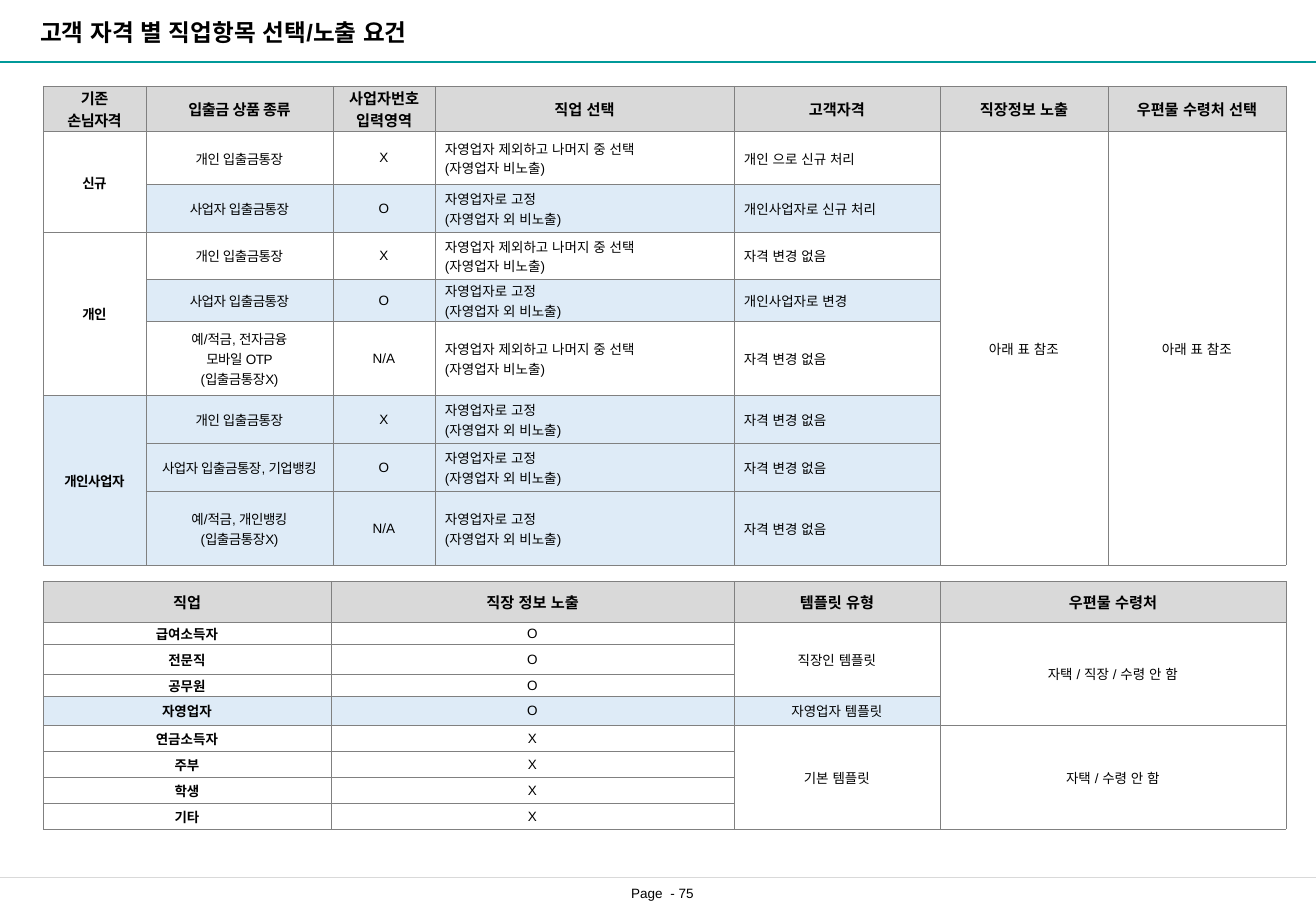
import pptx
import pptx.util
import pptx.dml.color
import pptx.enum.lang
import pptx.enum.shapes
import pptx.enum.text
import pptx.oxml
import pptx.oxml.ns

PX = 914400 / 121.5
ALIGN = pptx.enum.text.PP_ALIGN
MIDDLE = pptx.enum.text.MSO_ANCHOR.MIDDLE
GREY, BLUE, WHITE, BLACK, BORDER = "D9D9D9", "DEEBF7", "FFFFFF", "000000", "808080"


def color(target, value):
    target.rgb = pptx.dml.color.RGBColor.from_string(value)


def write(paragraph, text, size, bold=False, align=ALIGN.CENTER):
    paragraph.alignment = align
    run = paragraph.add_run()
    run.text = text
    formats = {"name": "Arial", "size": pptx.util.Pt(size), "bold": bold,
               "language_id": pptx.enum.lang.MSO_LANGUAGE_ID.KOREAN}
    for key, value in formats.items():
        setattr(run.font, key, value)
    color(run.font.color, BLACK)
    return run


deck = pptx.Presentation()
deck.slide_width = round(1316 * PX)
deck.slide_height = round(911 * PX)
slide = deck.slides.add_slide(deck.slide_layouts[5])

# Title and page number
title = slide.shapes.title
page_number = slide.shapes.add_textbox(0, 0, 0, 0)
for box, (left, top, width, height), wrap, text, size, bold, align in (
        (title, (28, 12, 1063, 41), True, "고객 자격 별 직업항목 선택/노출 요건", 14, True, ALIGN.LEFT),
        (page_number, (634, 876, 57, 35), False, "Page  - 75", 8, False, ALIGN.CENTER)):
    box.left, box.top = round(left * PX), round(top * PX)
    box.width, box.height = round(width * PX), round(height * PX)
    frame = box.text_frame
    frame_format = {"word_wrap": wrap, "vertical_anchor": MIDDLE,
                    "auto_size": pptx.enum.text.MSO_AUTO_SIZE.NONE}
    for key, value in frame_format.items():
        setattr(frame, key, value)
    write(frame.paragraphs[0], text, size, bold, align)

# Header and footer rules
for y, rule_color, weight in ((62, "009999", 0.75), (877, GREY, 0.5)):
    rule = slide.shapes.add_connector(pptx.enum.shapes.MSO_CONNECTOR.STRAIGHT,
                                      0, round(y * PX), deck.slide_width, round(y * PX))
    rule.line.width = pptx.util.Pt(weight)
    color(rule.line.color, rule_color)
    rule._element.spPr.append(pptx.oxml.parse_xml(
        f"<a:effectLst {pptx.oxml.ns.nsdecls('a')}/>"))

# Table contents; an empty cell belongs to the merged cell above it
OTHERS = "자영업자 제외하고 나머지 중 선택\n(자영업자 비노출)"
FIXED = "자영업자로 고정\n(자영업자 외 비노출)"
PERSONAL, BUSINESS = "개인 입출금통장", "사업자 입출금통장"
UNCHANGED, SEE_BELOW = "자격 변경 없음", "아래 표 참조"

eligibility = {
    "top": 86,
    "widths": [103, 187, 102, 299, 206, 168, 178],
    "heights": [42, 53, 48, 47, 42, 74, 48, 48, 74],
    "left_columns": (3, 4),
    "tight_columns": (0, 1),
    "highlights": {2: range(1, 5), 4: range(1, 5),
                   6: range(5), 7: range(5), 8: range(5)},
    "rows": [
        ["기존\n손님자격", "입출금 상품 종류", "사업자번호\n입력영역", "직업 선택",
         "고객자격", "직장정보 노출", "우편물 수령처 선택"],
        ["신규", PERSONAL, "X", OTHERS, "개인 으로 신규 처리", SEE_BELOW, SEE_BELOW],
        ["", BUSINESS, "O", FIXED, "개인사업자로 신규 처리", "", ""],
        ["개인", PERSONAL, "X", OTHERS, UNCHANGED, "", ""],
        ["", BUSINESS, "O", FIXED, "개인사업자로 변경", "", ""],
        ["", "예/적금, 전자금융\n모바일 OTP\n(입출금통장X)", "N/A", OTHERS, UNCHANGED, "", ""],
        ["개인사업자", PERSONAL, "X", FIXED, UNCHANGED, "", ""],
        ["", "사업자 입출금통장, 기업뱅킹", "O", FIXED, UNCHANGED, "", ""],
        ["", "예/적금, 개인뱅킹\n(입출금통장X)", "N/A", FIXED, UNCHANGED, "", ""],
    ],
}
occupations = {
    "top": 581,
    "widths": [288, 403, 206, 346],
    "heights": [41, 22, 30, 22, 29, 26, 26, 26, 26],
    "left_columns": (),
    "tight_columns": (),
    "highlights": {4: range(3)},
    "rows": [
        ["직업", "직장 정보 노출", "템플릿 유형", "우편물 수령처"],
        ["급여소득자", "O", "직장인 템플릿", "자택 / 직장 / 수령 안 함"],
        ["전문직", "O", "", ""],
        ["공무원", "O", "", ""],
        ["자영업자", "O", "자영업자 템플릿", ""],
        ["연금소득자", "X", "기본 템플릿", "자택 / 수령 안 함"],
        ["주부", "X", "", ""],
        ["학생", "X", "", ""],
        ["기타", "X", "", ""],
    ],
}

# Build both tables
for content in (eligibility, occupations):
    rows, widths, heights = content["rows"], content["widths"], content["heights"]
    table = slide.shapes.add_table(
        len(rows), len(widths), round(43 * PX), round(content["top"] * PX),
        round(sum(widths) * PX), round(sum(heights) * PX)).table
    table.first_row = table.horz_banding = False
    for column, width in zip(table.columns, widths):
        column.width = round(width * PX)
    for row, height in zip(table.rows, heights):
        row.height = round(height * PX)

    for r, texts in enumerate(rows):
        for c, text in enumerate(texts):
            cell = table.cell(r, c)
            to_left = r > 0 and c in content["left_columns"]
            cell_format = {"margin_left": round((10 if to_left else 1) * PX),
                           "margin_right": round(PX), "margin_top": round(PX),
                           "margin_bottom": 0, "vertical_anchor": MIDDLE}
            for key, value in cell_format.items():
                setattr(cell, key, value)
            cell.fill.solid()
            highlighted = c in content["highlights"].get(r, ())
            color(cell.fill.fore_color, GREY if r == 0 else BLUE if highlighted else WHITE)
            for position, side in enumerate(("lnL", "lnR", "lnT", "lnB")):
                cell._tc.tcPr.insert(position, pptx.oxml.parse_xml(
                    f'<a:{side} {pptx.oxml.ns.nsdecls("a")} w="3175"><a:solidFill>'
                    f'<a:srgbClr val="{BORDER}"/></a:solidFill></a:{side}>'))
            if not text:
                continue

            for n, line in enumerate(text.split("\n")):
                frame = cell.text_frame
                paragraph = frame.add_paragraph() if n else frame.paragraphs[0]
                run = write(paragraph, line, 9 if r == 0 else 8, r == 0 or c == 0,
                            ALIGN.LEFT if to_left else ALIGN.CENTER)
                if c in content["tight_columns"]:
                    run._r.get_or_add_rPr().set("spc", "-30")

            last = r
            while last + 1 < len(rows) and not rows[last + 1][c]:
                last += 1
            if last > r:
                cell.merge(table.cell(last, c))

deck.save("out.pptx")
